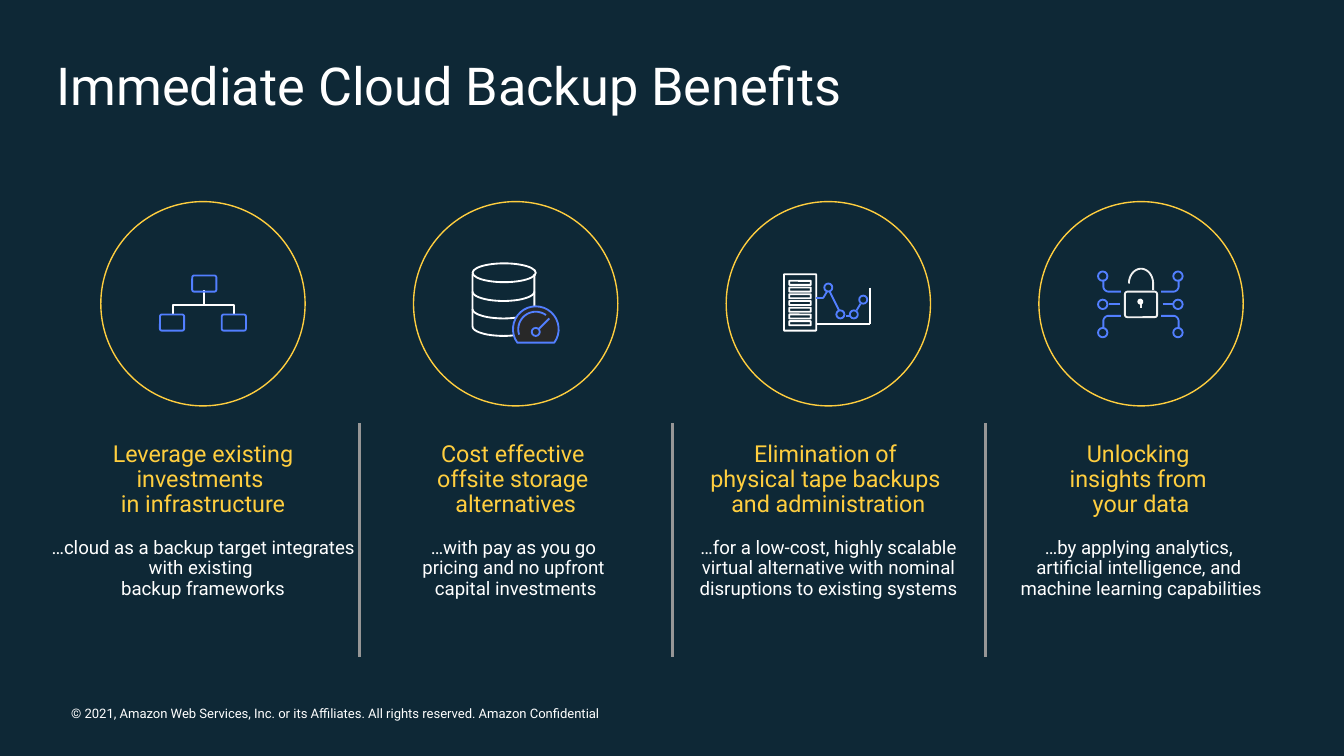
from math import cos, radians, sin

from lxml.etree import SubElement
from pptx import Presentation
from pptx.dml.color import RGBColor
from pptx.enum.shapes import MSO_CONNECTOR, MSO_SHAPE as SHAPE
from pptx.enum.text import PP_ALIGN as ALIGN
from pptx.oxml.ns import qn
from pptx.util import Inches, Pt

NAVY, WHITE, YELLOW, BLUE = "0E2836", "FFFFFF", "FFCE3F", "527FFF"
GREY, PALE, CHARCOAL = "969696", "F0F0F0", "282828"
FIRST_LEFT, LAST_LEFT, COLUMN_WIDTH = 0.37, 7.35, 2.28


def color(hex_code):
    return RGBColor.from_string(hex_code)


def paint(shape, line, fill=None, weight=1):
    shape.shadow.inherit = False
    if fill:
        shape.fill.solid()
        shape.fill.fore_color.rgb = color(fill)
    else:
        shape.fill.background()
    shape.line.color.rgb = color(line)
    shape.line.width = Pt(weight)


def add_line(shapes, x1, y1, x2, y2, line, weight=1):
    connector = shapes.add_connector(
        MSO_CONNECTOR.STRAIGHT, Inches(x1), Inches(y1), Inches(x2), Inches(y2))
    connector.line.color.rgb = color(line)
    connector.line.width = Pt(weight)
    SubElement(connector._element.spPr, qn("a:effectLst"))


def add_text(slide, box, paragraphs, insets=(0, 0), align=ALIGN.LEFT,
             spacing=1.0, after=0):
    """Each paragraph is (text, size, colour); insets are (side, top)."""
    frame = slide.shapes.add_textbox(*map(Inches, box)).text_frame
    frame.word_wrap = True
    frame.margin_left = frame.margin_right = Inches(insets[0])
    frame.margin_top = frame.margin_bottom = Inches(insets[1])
    for i, (text, size, ink) in enumerate(paragraphs):
        paragraph = frame.add_paragraph() if i else frame.paragraphs[0]
        paragraph.text = text
        paragraph.alignment = align
        paragraph.line_spacing = spacing
        paragraph.space_after = Pt(after)
        for run in paragraph.runs:
            run.font.name = "Roboto"
            run.font.size = Pt(size)
            run.font.color.rgb = color(ink)


def arc(cx, cy, rx, ry, start, end, steps=24):
    """Points on an ellipse, with angles running clockwise in degrees."""
    angles = [radians(start + (end - start) * i / steps) for i in range(steps + 1)]
    return [(cx + rx * cos(a), cy + ry * sin(a)) for a in angles]


class Pen:
    """Draws icon parts in inches from the corner of the icon's box."""

    def __init__(self, shapes, left, top):
        self.shapes, self.left, self.top = shapes, left, top

    def preset(self, kind, x, y, w, h, line, fill=None, weight=1, adjust=None):
        shape = self.shapes.add_shape(
            kind, Inches(self.left + x), Inches(self.top + y), Inches(w), Inches(h))
        if adjust is not None:
            shape.adjustments[0] = adjust
        paint(shape, line, fill, weight)

    def oval(self, x, y, w, h, line, fill=None, weight=1):
        self.preset(SHAPE.OVAL, x, y, w, h, line, fill, weight)

    def block(self, x, y, w, h, line, adjust):
        self.preset(SHAPE.ROUNDED_RECTANGLE, x, y, w, h, line, adjust=adjust)

    def line(self, x1, y1, x2, y2, ink):
        add_line(self.shapes, self.left + x1, self.top + y1,
                 self.left + x2, self.top + y2, ink)

    def outline(self, points, line, fill=None, close=False):
        spots = [(Inches(self.left + x), Inches(self.top + y)) for x, y in points]
        builder = self.shapes.build_freeform(*spots[0])
        builder.add_line_segments(spots[1:], close=close)
        paint(builder.convert_to_shape(), line, fill)


def network_icon(pen):
    pen.outline([(0.77, 0.66), (0.77, 0.77), (0.99, 0.77), (0.99, 0.84)], WHITE)
    pen.outline([(0.54, 0.84), (0.54, 0.77), (0.78, 0.77)], WHITE)
    for x, y in [(0.9, 0.84), (0.44, 0.84), (0.68, 0.55)]:
        pen.block(x, y, 0.18, 0.12, BLUE, 0.12)


def storage_icon(pen):
    # Disk stack
    base = arc(0.67, 0.93, 0.23, 0.07, 0, 180)
    pen.outline([(0.9, 0.54), *base, (0.44, 0.54)], WHITE)
    pen.oval(0.44, 0.46, 0.47, 0.14, WHITE)
    for y in (0.67, 0.8):
        pen.outline(arc(0.67, y, 0.23, 0.07, 0, 180), WHITE)
    # Gauge
    pen.outline(arc(0.91, 0.95, 0.17, 0.17, 36, -216), BLUE, CHARCOAL, close=True)
    pen.outline(arc(0.91, 0.95, 0.13, 0.13, -54, -198), BLUE)
    pen.oval(0.88, 0.94, 0.06, 0.06, BLUE)
    pen.line(0.93, 0.95, 1.01, 0.87, BLUE)


def server_icon(pen):
    # Rack with seven slots
    pen.block(0.43, 0.54, 0.24, 0.42, WHITE, 0.02)
    for i in range(7):
        pen.block(0.47, 0.59 + 0.05 * i, 0.16, 0.03, WHITE, 0.02)
    # Axes and trend
    pen.line(0.67, 0.91, 1.07, 0.91, WHITE)
    pen.line(1.07, 0.64, 1.07, 0.91, WHITE)
    for x, y in [(0.73, 0.61), (0.82, 0.81), (0.92, 0.81), (0.99, 0.7)]:
        pen.oval(x, y, 0.06, 0.06, BLUE)
    for ends in [(0.67, 0.72, 0.72, 0.72), (0.72, 0.72, 0.75, 0.67),
                 (0.84, 0.81, 0.77, 0.67), (0.89, 0.85, 0.92, 0.85),
                 (0.97, 0.81, 1, 0.76)]:
        pen.line(*ends, BLUE)


def lock_icon(pen):
    middle = 0.76
    # Padlock
    pen.outline(arc(middle, 0.61, 0.09, 0.11, 180, 360) + [(0.85, 0.66)], PALE)
    pen.block(0.64, 0.67, 0.24, 0.19, PALE, 0.1)
    pen.line(middle, 0.74, middle, 0.79, PALE)
    pen.oval(0.74, 0.73, 0.03, 0.03, WHITE, PALE)
    # Circuit, mirrored to both sides
    bend = [(0.15, 0.09), *arc(0.24, 0.13, 0.04, 0.04, -90, 0, 8), (0.28, 0.18)]
    for side in (-1, 1):
        for y in (0.52, 0.73, 0.94):
            pen.oval(middle + side * 0.28 - 0.04, y, 0.07, 0.07, BLUE)
        for up in (-1, 1):
            pen.outline([(middle + side * x, middle + up * y) for x, y in bend], BLUE)
        pen.line(middle + side * 0.16, middle, middle + side * 0.24, middle, BLUE)


BENEFITS = [
    (network_icon, "Leverage existing investments \vin infrastructure",
     "…cloud as a backup target integrates with existing \vbackup frameworks"),
    (storage_icon, "Cost effective \voffsite storage \valternatives",
     "…with pay as you go \vpricing and no upfront \vcapital investments"),
    (server_icon, "Elimination of \vphysical tape backups \vand administration",
     "…for a low-cost, highly scalable virtual alternative with nominal "
     "disruptions to existing systems"),
    (lock_icon, "Unlocking \vinsights from \vyour data",
     "…by applying analytics, \vartificial intelligence, and \v"
     "machine learning capabilities"),
]


def add_benefit(slide, left, top, draw_icon, heading, detail):
    pen = Pen(slide.shapes.add_group_shape().shapes, left + 0.38, top)
    pen.oval(0, 0, 1.52, 1.52, YELLOW, weight=0.75)
    draw_icon(pen)
    add_text(slide, (left, top + 1.79, COLUMN_WIDTH, 1.18),
             [(heading, 12.5, YELLOW), (detail, 10, WHITE)],
             align=ALIGN.CENTER, spacing=0.9, after=11.2)


def build_benefits_slide(deck):
    slide = deck.slides.add_slide(deck.slide_layouts[6])
    slide.background.fill.solid()
    slide.background.fill.fore_color.rgb = color(NAVY)
    # Title and footer
    add_text(slide, (0.22, 0.24, 9.56, 0.74),
             [("Immediate Cloud Backup Benefits", 28, WHITE)], (0.2, 0.16))
    add_text(slide, (0.53, 5.25, 4.59, 0.12),
             [("© 2021, Amazon Web Services, Inc. or its Affiliates. "
               "All rights reserved. Amazon Confidential", 7, WHITE)])
    # Columns with dividers between them
    pitch = (LAST_LEFT - FIRST_LEFT) / (len(BENEFITS) - 1)
    for i, benefit in enumerate(BENEFITS):
        left = FIRST_LEFT + i * pitch
        if i:
            divider = left - 0.02
            add_line(slide.shapes, divider, 3.15, divider, 4.89, GREY, 1.5)
        add_benefit(slide, left, 1.5, *benefit)


def main():
    deck = Presentation()
    # Widescreen, 16 to 9
    deck.slide_width = Inches(10)
    deck.slide_height = deck.slide_width * 9 // 16
    build_benefits_slide(deck)
    deck.save("out.pptx")


if __name__ == "__main__":
    main()
